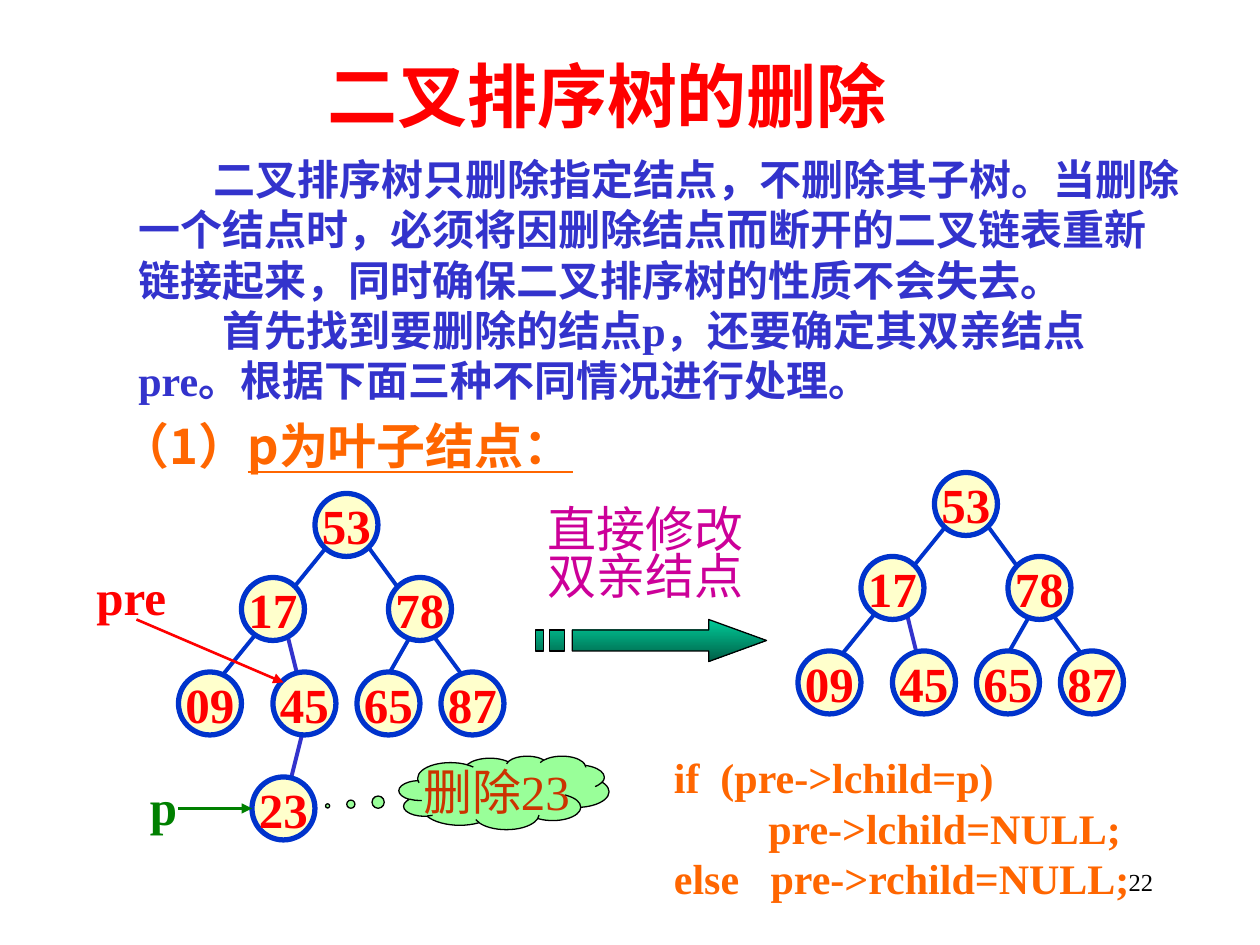
from dataclasses import dataclass

from lxml.etree import SubElement
from pptx import Presentation
from pptx.dml.color import RGBColor as Color
from pptx.enum.shapes import MSO_CONNECTOR as Link, MSO_SHAPE as Preset
from pptx.enum.text import MSO_ANCHOR as Anchor, PP_ALIGN as Align
from pptx.oxml.ns import qn
from pptx.util import Pt


@dataclass(frozen=True)
class Theme:
    latin: str = "Times New Roman"
    chinese: str = "Noto Sans CJK SC"
    red: str = "FF0000"
    indigo: str = "3333CC"
    orange: str = "FF6600"
    blue: str = "0033CC"
    cream: str = "FFFFCC"
    green: str = "008000"
    mint: str = "99FF99"
    rust: str = "CC3300"
    magenta: str = "CC0099"
    teal: str = "00CC99"
    dark_teal: str = "005E46"
    black: str = "000000"
    title: int = 40
    label: int = 28
    body: int = 24
    small: int = 14


theme = Theme()


def write(shape, text, size, color, bold=True, wrap=False, font=theme.latin):
    """Fill a shape with text, one paragraph per line, and return its text frame."""
    frame = shape.text_frame
    frame.text = text
    frame.word_wrap = wrap
    for para in frame.paragraphs:
        for span in para.runs:
            span.font.name = font
            span.font.size = Pt(size)
            span.font.bold = bold
            span.font.color.rgb = Color.from_string(color)
            SubElement(span.font._element, qn("a:ea"), typeface=theme.chinese)
    return frame


def draw_line(shapes, start, end, color, width, arrow=False):
    line = shapes.add_connector(Link.STRAIGHT, *map(Pt, start + end))
    line.line.color.rgb = Color.from_string(color)
    line.line.width = Pt(width)
    if arrow:
        SubElement(line.line._get_or_add_ln(), qn("a:tailEnd"), type="triangle")
    SubElement(line._element.spPr, qn("a:effectLst"))


deck = Presentation()
deck.slide_width, deck.slide_height = Pt(720), Pt(540)
page = deck.slides.add_slide(deck.slide_layouts[6])
shapes = page.shapes

# Heading and explanation
title = shapes.add_textbox(Pt(180), Pt(30), Pt(354), Pt(48))
write(title, "二叉排序树的删除", theme.title, theme.red, wrap=True)
title.text_frame.vertical_anchor = Anchor.MIDDLE

explanation = shapes.add_textbox(Pt(72), Pt(84), Pt(612), Pt(151))
frame = write(
    explanation,
    "二叉排序树只删除指定结点，不删除其子树。当删除一个结点时，必须将因删除结点而断开的"
    "二叉链表重新链接起来，同时确保二叉排序树的性质不会失去。\n"
    "首先找到要删除的结点p，还要确定其双亲结点pre。根据下面三种不同情况进行处理。",
    theme.body, theme.indigo, wrap=True)
for para, indent in zip(frame.paragraphs, (43, 48)):
    para._p.get_or_add_pPr().set("indent", str(Pt(indent)))

case = shapes.add_textbox(Pt(62), Pt(234), Pt(300), Pt(41))
case.text_frame.paragraphs[0].add_run().text = "（1）"
case_name = case.text_frame.paragraphs[0].add_run()
case_name.text = "p为叶子结点："
case.text_frame.word_wrap = False
for span in case.text_frame.paragraphs[0].runs:
    span.font.name = theme.chinese
    span.font.size = Pt(theme.label)
    span.font.bold = True
    span.font.color.rgb = Color.from_string(theme.orange)
    SubElement(span.font._element, qn("a:ea"), typeface=theme.chinese)
case_name.font.underline = True

# Trees before and after the deletion, measured from the root node's corner
NODE = 36
nodes = {"53": (0, 0), "78": (42, 48), "65": (24, 102), "17": (-42, 48),
         "87": (72, 102), "09": (-78, 102), "45": (-24, 102)}
edges = [((-18, 72), (-6, 120), theme.indigo), ((12, 24), (-66, 120), theme.blue),
         ((60, 72), (36, 114), theme.blue), ((30, 30), (96, 120), theme.blue)]
leaf = {"23": (-36, 162)}
leaf_edge = [((-6, 132), (-18, 180), theme.indigo)]

trees = [(180, 282, nodes | leaf, leaf_edge + edges), (534, 270, nodes, edges)]
for root_x, root_y, tree_nodes, tree_edges in trees:
    tree = shapes.add_group_shape().shapes
    for (x1, y1), (x2, y2), color in tree_edges:
        draw_line(tree, (root_x + x1, root_y + y1), (root_x + x2, root_y + y2), color, 2.25)
    for key, (x, y) in tree_nodes.items():
        node = tree.add_shape(Preset.OVAL, Pt(root_x + x), Pt(root_y + y), Pt(NODE), Pt(NODE))
        node.shadow.inherit = False
        node.fill.solid()
        node.fill.fore_color.rgb = Color.from_string(theme.cream)
        node.line.color.rgb = Color.from_string(theme.blue)
        node.line.width = Pt(3)
        frame = write(node, key, theme.label, theme.red)
        frame.vertical_anchor = Anchor.MIDDLE
        frame.paragraphs[0].alignment = Align.CENTER

# Deletion cloud
cloud = shapes.add_shape(Preset.CLOUD_CALLOUT, Pt(228), Pt(432), Pt(120), Pt(42))
cloud.adjustments[0], cloud.adjustments[1] = -0.84, 0.18
cloud.shadow.inherit = False
cloud.fill.solid()
cloud.fill.fore_color.rgb = Color.from_string(theme.mint)
frame = write(cloud, "删除23", theme.label, theme.rust, bold=False)
frame.vertical_anchor = Anchor.MIDDLE
frame.paragraphs[0].alignment = Align.CENTER

# Striped arrow between the trees
builder = shapes.build_freeform(Pt(327), Pt(360))
builder.add_line_segments(
    [(Pt(x), Pt(y)) for x, y in
     [(405, 360), (405, 354), (438, 366), (405, 378), (405, 372), (327, 372)]])
for left, right in ((306, 310.5), (314, 322.5)):
    builder.move_to(Pt(left), Pt(360))
    builder.add_line_segments(
        [(Pt(x), Pt(y)) for x, y in [(right, 360), (right, 372), (left, 372)]])
striped_arrow = builder.convert_to_shape()
striped_arrow.shadow.inherit = False
striped_arrow.fill.gradient()
striped_arrow.fill.gradient_angle = 270
for stop, color in zip(striped_arrow.fill.gradient_stops, (theme.teal, theme.dark_teal)):
    stop.color.rgb = Color.from_string(color)

for outlined in (cloud, striped_arrow):
    outlined.line.color.rgb = Color.from_string(theme.black)
    outlined.line.width = Pt(0.75)

action = shapes.add_textbox(Pt(306), Pt(288), Pt(139), Pt(61))
frame = write(action, "直接修改双亲结点", theme.label, theme.magenta, bold=False, wrap=True)
frame.paragraphs[0].line_spacing = 0.8

# Pointers to the parent and to the deleted node
pointers = [("pre", theme.red, (48, 320, 55, 41), (78, 354), (162, 390)),
            ("p", theme.green, (78.5, 440, 29.5, 41), (102, 462), (144, 462))]
for name, color, place, start, end in pointers:
    pointer = shapes.add_group_shape().shapes
    draw_line(pointer, start, end, color, 1.5, arrow=True)
    write(pointer.add_textbox(*map(Pt, place)), name, theme.label, color)

# Code and page number
code = shapes.add_textbox(Pt(378), Pt(426), Pt(276), Pt(94))
write(code, "if  (pre->lchild=p)\n         pre->lchild=NULL;\nelse   pre->rchild=NULL;",
      theme.body, theme.orange)

number = shapes.add_textbox(Pt(516), Pt(492), Pt(150), Pt(36))
frame = write(number, "22", theme.small, theme.black, bold=False, wrap=True)
frame.paragraphs[0].alignment = Align.RIGHT

deck.save("out.pptx")
